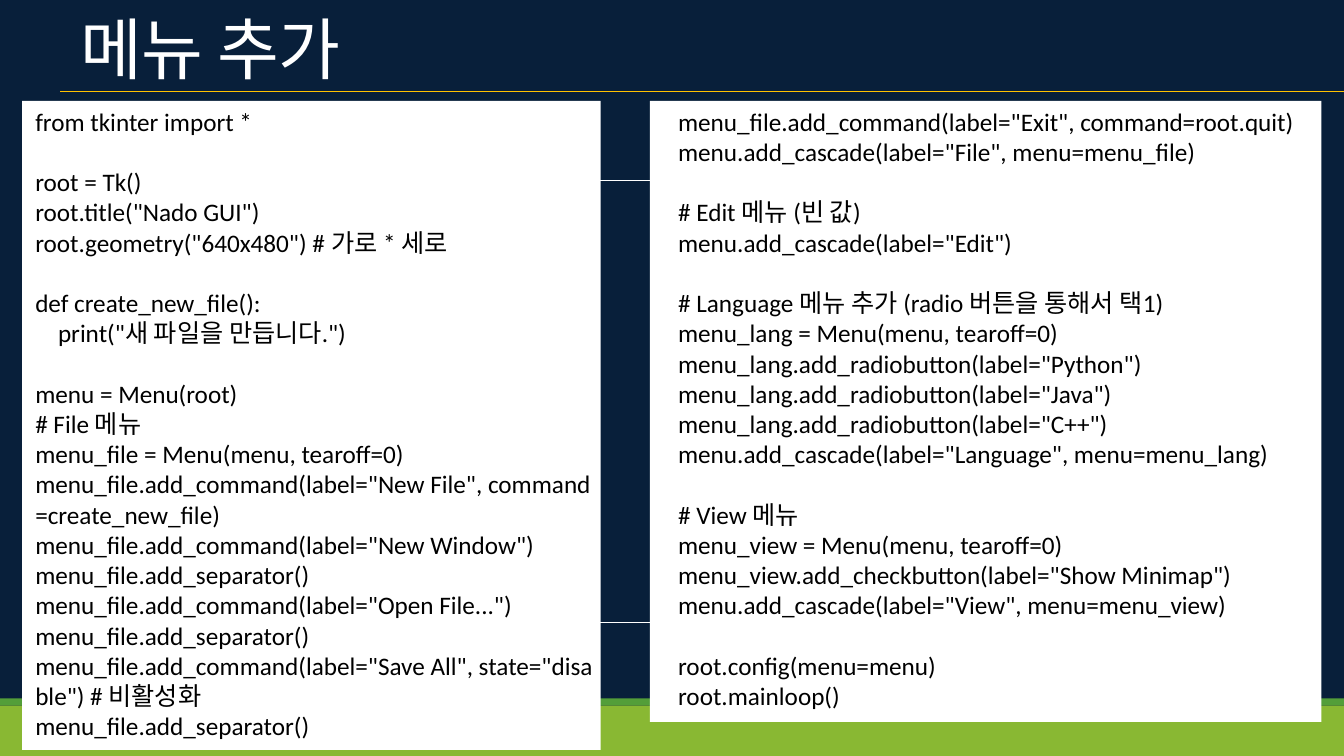
from lxml import etree
from pptx import Presentation
from pptx import util as u
from pptx.dml.color import RGBColor
from pptx.enum import shapes, text
from pptx.oxml import ns

# Content: a line break inside a paragraph is written as a new line
TITLE = "메뉴 추가"
CODE_LEFT = [
    "from tkinter import *",
    "\nroot = Tk()",
    'root.title("Nado GUI")',
    'root.geometry("640x480") # 가로 * 세로',
    "\ndef create_new_file():",
    '    print("새 파일을 만듭니다.")',
    "\nmenu = Menu(root)\n# File 메뉴",
    "menu_file = Menu(menu, tearoff=0)",
    'menu_file.add_command(label="New File", command=create_new_file)',
    'menu_file.add_command(label="New Window")',
    "menu_file.add_separator()",
    'menu_file.add_command(label="Open File...")',
    "menu_file.add_separator()",
    'menu_file.add_command(label="Save All", state="disable") # 비활성화',
    "menu_file.add_separator()",
]
CODE_RIGHT = [
    'menu_file.add_command(label="Exit", command=root.quit)',
    'menu.add_cascade(label="File", menu=menu_file)',
    "\n# Edit 메뉴 (빈 값)",
    'menu.add_cascade(label="Edit")',
    "\n# Language 메뉴 추가 (radio 버튼을 통해서 택1)",
    "menu_lang = Menu(menu, tearoff=0)",
    'menu_lang.add_radiobutton(label="Python")',
    'menu_lang.add_radiobutton(label="Java")',
    'menu_lang.add_radiobutton(label="C++")',
    'menu.add_cascade(label="Language", menu=menu_lang)',
    "\n# View 메뉴",
    "menu_view = Menu(menu, tearoff=0)",
    'menu_view.add_checkbutton(label="Show Minimap")',
    'menu.add_cascade(label="View", menu=menu_view)',
    "\nroot.config(menu=menu)",
    "root.mainloop()",
]

THEME = {
    "navy": RGBColor.from_string("081F3A"),
    "green": RGBColor.from_string("539E39"),
    "lime": RGBColor.from_string("89B833"),
    "gold": RGBColor.from_string("FFC000"),
    "white": RGBColor.from_string("FFFFFF"),
    "black": RGBColor.from_string("000000"),
    "title": {"name": "Noto Sans Mono", "size": u.Pt(48), "bold": False},
    "code": {"name": "Calibri", "size": u.Pt(18)},
}

# Layout in centimetres
WIDTH, HEIGHT = 33.87, 19.05
BANDS = [("green", 17.6, 17.78), ("lime", 17.78, HEIGHT)]  # colour, top, bottom
LINES = [  # colour, from x, to x, y, points
    ("white", 1.75, 16.97, 4.55, 0.5),
    ("white", 1.75, 16.97, 15.67, 0.5),
    ("gold", 1.52, WIDTH, 2.29, 0.48),
]
PANELS = [  # code, (left, top, width, height), left and right inset
    (CODE_LEFT, (0.56, 2.54, 14.58, 16.36), (0.33, 0)),
    (CODE_RIGHT, (16.38, 2.54, 16.92, 15.65), (0.71, 0.69)),
]
PANEL_TOP_INSET = 0.13
NO_BREAK_SPACE = chr(160)  # lets long code lines wrap inside a word


def apply(target, values):
    for name, value in values.items():
        setattr(target, name, value)


def add_rectangle(slide, box, color):
    shape = slide.shapes.add_shape(
        shapes.MSO_SHAPE.RECTANGLE, *(u.Cm(length) for length in box))
    shape.shadow.inherit = False
    shape.fill.solid()
    shape.fill.fore_color.rgb = THEME[color]
    shape.line.fill.background()
    return shape


def add_line(slide, color, start, end, y, points):
    line = slide.shapes.add_connector(
        shapes.MSO_CONNECTOR.STRAIGHT, u.Cm(start), u.Cm(y), u.Cm(end), u.Cm(y))
    line.line.color.rgb = THEME[color]
    line.line.width = u.Pt(points)
    etree.SubElement(line._element.spPr, ns.qn("a:effectLst"))


def add_code_panel(slide, code, box, insets):
    frame = add_rectangle(slide, box, "white").text_frame
    apply(frame, {
        "word_wrap": True,
        "vertical_anchor": text.MSO_ANCHOR.TOP,
        "margin_left": u.Cm(insets[0]),
        "margin_right": u.Cm(insets[1]),
        "margin_top": u.Cm(PANEL_TOP_INSET),
        "margin_bottom": 0,
    })
    for index, code_line in enumerate(code):
        paragraph = frame.add_paragraph() if index else frame.paragraphs[0]
        paragraph.text = code_line.replace(" ", NO_BREAK_SPACE)
        paragraph.alignment = text.PP_ALIGN.LEFT
        apply(paragraph.font, THEME["code"])
        paragraph.font.color.rgb = THEME["black"]
        for run in paragraph.runs:
            apply(run.font, THEME["code"])
            run.font.color.rgb = THEME["black"]


def set_title(slide):
    title = slide.shapes.title
    apply(title, {"left": u.Cm(2.03), "top": u.Cm(0.15),
                  "width": u.Cm(25.55), "height": u.Cm(2.08)})
    frame = title.text_frame
    frame.text = TITLE
    apply(frame, {"margin_left": 0, "margin_right": 0, "margin_bottom": 0,
                  "margin_top": u.Cm(0.03), "word_wrap": True,
                  "auto_size": text.MSO_AUTO_SIZE.NONE,
                  "vertical_anchor": text.MSO_ANCHOR.TOP})
    paragraph = frame.paragraphs[0]
    apply(paragraph, {"alignment": text.PP_ALIGN.LEFT, "space_before": 0})
    run = paragraph.runs[0]
    apply(run.font, THEME["title"])
    run.font.color.rgb = THEME["white"]
    run._r.get_or_add_rPr().set("spc", "-50")


def main():
    presentation = Presentation()
    presentation.slide_width = u.Cm(WIDTH)
    presentation.slide_height = u.Cm(HEIGHT)
    slide = presentation.slides.add_slide(presentation.slide_layouts[5])

    # Background and bottom bands
    slide.background.fill.solid()
    slide.background.fill.fore_color.rgb = THEME["navy"]
    for color, top, bottom in BANDS:
        add_rectangle(slide, (0, top, WIDTH, bottom - top), color)

    # Title, rules and code panels
    set_title(slide)
    for line in LINES:
        add_line(slide, *line)
    for panel in PANELS:
        add_code_panel(slide, *panel)

    presentation.save("out.pptx")


if __name__ == "__main__":
    main()
